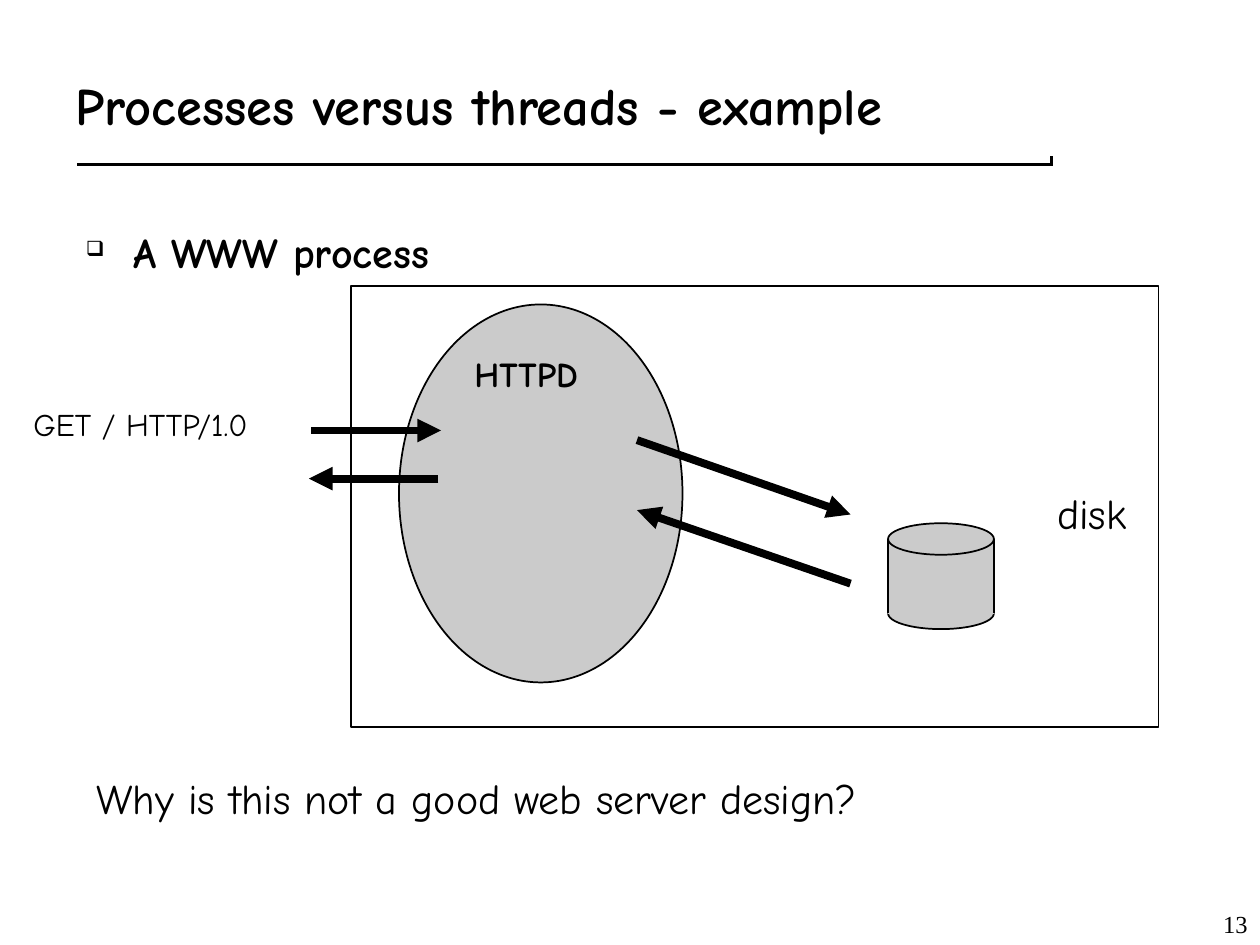
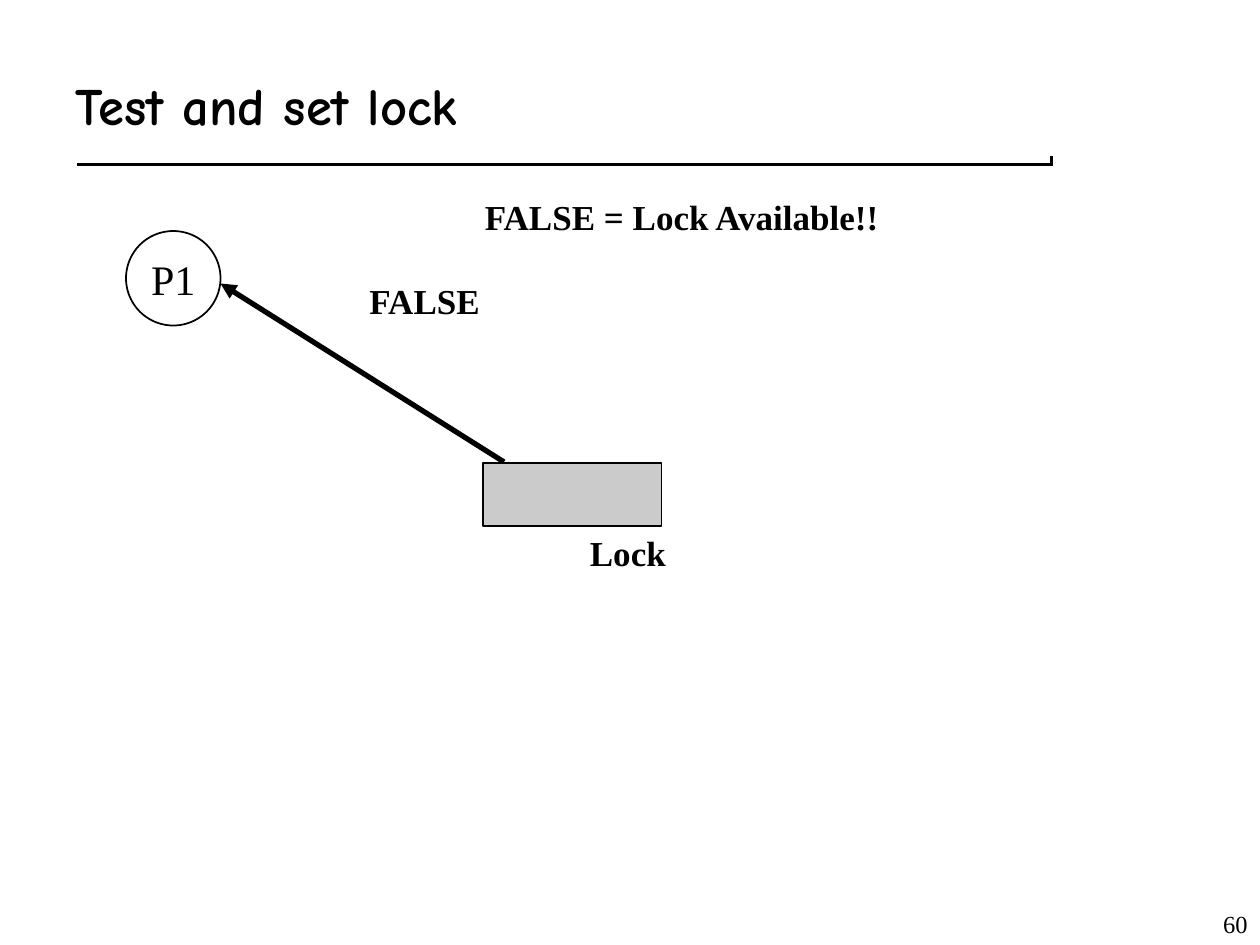
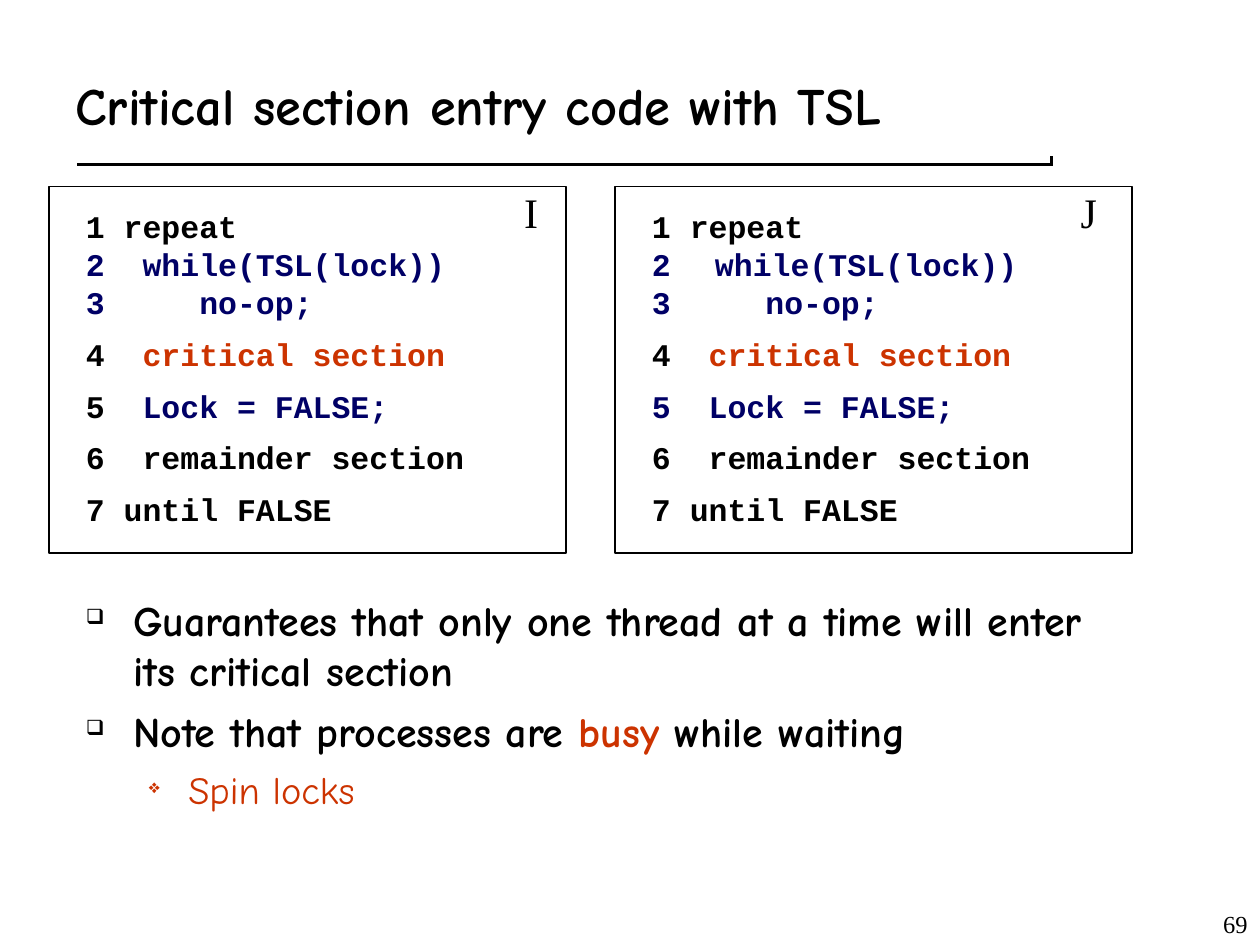
from dataclasses import dataclass, replace

from lxml import etree
from pptx import Presentation
from pptx.dml.color import RGBColor
from pptx.enum.shapes import MSO_CONNECTOR, MSO_SHAPE
from pptx.enum.text import MSO_ANCHOR, PP_ALIGN
from pptx.oxml.ns import qn
from pptx.util import Pt

OVAL, RECT = MSO_SHAPE.OVAL, MSO_SHAPE.RECTANGLE
STRAIGHT = MSO_CONNECTOR.STRAIGHT
TOP, MIDDLE, BOTTOM = MSO_ANCHOR.TOP, MSO_ANCHOR.MIDDLE, MSO_ANCHOR.BOTTOM
LEFT, CENTER, RIGHT = PP_ALIGN.LEFT, PP_ALIGN.CENTER, PP_ALIGN.RIGHT


@dataclass(frozen=True)
class Theme:
    ink: str = "000000"
    paper: str = "FFFFFF"
    gray: str = "CBCBCB"
    navy: str = "000066"
    red: str = "CC3300"
    hand: str = "Comic Neue"
    serif: str = "Times New Roman"
    mono: str = "Courier New"
    title: float = 30
    body: float = 24
    sub: float = 22
    label: float = 20
    small: float = 18
    page: float = 14
    thin: float = 1
    rule: float = 6


T = Theme()


@dataclass(frozen=True)
class Style:
    font: str
    size: float
    bold: bool = False


TITLE = Style(T.hand, T.title, True)
POINT = Style(T.hand, T.body, True)
PLAIN = Style(T.hand, T.body)
SUB = Style(T.hand, T.sub)
SERIF = Style(T.serif, T.body)
LABEL = Style(T.serif, T.label, True)
CODE = Style(T.mono, T.small, True)


@dataclass(frozen=True)
class Box:
    x: float
    y: float
    w: float
    h: float


@dataclass(frozen=True)
class Run:
    text: str
    color: str = T.ink


@dataclass(frozen=True)
class Mark:
    """A bullet sign, or a number when start is set."""
    sign: str = ""
    color: str = T.ink
    start: int = 0


@dataclass(frozen=True)
class Par:
    runs: tuple[Run, ...]
    style: Style
    before: float = 0
    left: float = 0
    hang: float = 0
    mark: Mark | None = None
    pitch: float = 0
    align: PP_ALIGN = LEFT


@dataclass(frozen=True)
class Line:
    x1: float
    y1: float
    x2: float
    y2: float
    width: float = T.thin
    color: str = T.ink
    arrow: bool = False


def rgb(color: str) -> RGBColor:
    return RGBColor.from_string(color)


def add_mark(props, mark: Mark) -> None:
    tint = etree.SubElement(props, qn("a:buClr"))
    etree.SubElement(tint, qn("a:srgbClr"), val=mark.color)
    if mark.start:
        etree.SubElement(props, qn("a:buAutoNum"), type="arabicPlain",
                         startAt=str(mark.start))
    else:
        etree.SubElement(props, qn("a:buSzPct"), val="50000")
        etree.SubElement(props, qn("a:buChar"), char=mark.sign)


def fill_text(frame, pars: list[Par], anchor=TOP) -> None:
    frame.word_wrap = True
    frame.vertical_anchor = anchor
    for i, par in enumerate(pars):
        p = frame.paragraphs[0] if i == 0 else frame.add_paragraph()
        p.alignment = par.align
        p.space_before = Pt(par.before if i else 0)
        if par.pitch:
            p.line_spacing = Pt(par.pitch)
        props = p._p.get_or_add_pPr()
        if par.left:
            props.set("marL", str(Pt(par.left)))
            props.set("indent", str(Pt(-par.hang)))
        if par.mark:
            add_mark(props, par.mark)
        for run in par.runs:
            r = p.add_run()
            r.text = run.text
            r.font.name = par.style.font
            r.font.size = Pt(par.style.size)
            r.font.bold = par.style.bold
            r.font.color.rgb = rgb(run.color)


def add_text(slide, box: Box, pars: list[Par], anchor=TOP) -> None:
    shape = slide.shapes.add_textbox(Pt(box.x), Pt(box.y), Pt(box.w), Pt(box.h))
    fill_text(shape.text_frame, pars, anchor)


def add_label(slide, box: Box, text: str, style: Style) -> None:
    add_text(slide, box, [Par((Run(text),), style)])


def add_form(shapes, kind, box: Box, fill: str = "", edge: str = T.ink):
    shape = shapes.add_shape(kind, Pt(box.x), Pt(box.y), Pt(box.w), Pt(box.h))
    shape.shadow.inherit = False
    if fill:
        shape.fill.solid()
        shape.fill.fore_color.rgb = rgb(fill)
    else:
        shape.fill.background()
    shape.line.color.rgb = rgb(edge)
    shape.line.width = Pt(T.thin)
    return shape


def add_line(shapes, line: Line) -> None:
    link = shapes.add_connector(STRAIGHT, Pt(line.x1), Pt(line.y1),
                                Pt(line.x2), Pt(line.y2))
    link.line.color.rgb = rgb(line.color)
    link.line.width = Pt(line.width)
    if line.arrow:
        etree.SubElement(link.line._get_or_add_ln(), qn("a:tailEnd"),
                         type="triangle")
    etree.SubElement(link._element.spPr, qn("a:effectLst"))


def add_slide(deck, title: str, page: int):
    """Start a slide with its title, notched rule and page number."""
    slide = deck.slides.add_slide(deck.slide_layouts[6])
    for x, y, color in ((44, 92, T.ink), (42, 90, T.paper)):
        add_line(slide.shapes, Line(x, y, x + 558, y, T.rule, color))
    add_text(slide, Box(36, 24, 618, 72), [Par((Run(title),), TITLE)], MIDDLE)
    number = Par((Run(str(page)),), Style(T.serif, T.page), align=RIGHT)
    add_text(slide, Box(570, 504, 150, 36), [number], BOTTOM)
    return slide


def point(*runs: Run) -> Par:
    return Par(runs, POINT, 6, 27, 27, Mark("❑"))


def add_disk(slide, box: Box, lid: float) -> None:
    shapes = slide.shapes.add_group_shape().shapes
    half = lid / 2
    base = box.y + box.h - half
    add_form(shapes, OVAL, Box(box.x, base - half, box.w, lid), T.gray)
    add_form(shapes, RECT, Box(box.x, box.y + half, box.w, box.h - lid),
             T.gray, T.gray)
    add_form(shapes, OVAL, Box(box.x, box.y, box.w, lid), T.gray)
    for x in (box.x, box.x + box.w):
        add_line(shapes, Line(x, base, x, box.y + half))


def web_slide(deck) -> None:
    slide = add_slide(deck, "Processes versus threads - example", 13)
    add_text(slide, Box(42, 126, 612, 354), [point(Run("A WWW process"))])
    add_form(slide.shapes, OVAL, Box(228, 174, 162, 216), T.gray)
    add_label(slide, Box(12, 228, 174, 29), "GET / HTTP/1.0",
              Style(T.hand, T.small))
    add_label(slide, Box(264, 198, 84, 32), "HTTPD",
              Style(T.hand, T.label, True))
    add_disk(slide, Box(507.5, 299, 60.5, 60.5), 18)
    for ends in ((178, 246, 252, 246), (364, 251.5, 486, 294),
                 (484 + 2, 333.5, 364, 291.5), (250.5, 273.5, 176.5, 273.5)):
        add_line(slide.shapes, Line(*ends, width=4.5, arrow=True))
    add_label(slide, Box(597, 275, 60, 36), "disk", PLAIN)
    add_label(slide, Box(48, 438, 619, 36),
              "Why is this not a good web server design?", PLAIN)
    add_form(slide.shapes, RECT, Box(200.5, 163.5, 461.5, 252))


def lock_slide(deck) -> None:
    slide = add_slide(deck, "Test and set lock", 60)
    node = add_form(slide.shapes, OVAL, Box(72, 132, 54, 54))
    frame = node.text_frame
    frame.margin_left = frame.margin_right = 0
    fill_text(frame, [Par((Run("P1"),), SERIF, align=CENTER)], MIDDLE)
    add_form(slide.shapes, RECT, Box(276, 264.5, 102, 36), T.gray)
    for x, y, w, text in ((330, 300, 72, "Lock"), (204, 156, 90, "FALSE"),
                          (270, 108, 260, "FALSE = Lock Available!!")):
        add_label(slide, Box(x, y, w, 32), text, LABEL)
    add_line(slide.shapes, Line(288, 264, 126, 162, 3, arrow=True))


def code_lines(second: Par, fifth: str) -> list[Par]:
    def row(*runs: Run, before: float = 8) -> Par:
        return Par(runs, CODE, before, 36, 36, pitch=21.6)

    return [
        row(Run("1 repeat")),
        second,
        row(Run("3     no-op;", T.navy), before=0),
        row(Run("4  "), Run("critical section", T.red)),
        row(Run("5  ", fifth), Run("Lock = FALSE;", T.navy)),
        row(Run("6  remainder section")),
        row(Run("7 until FALSE")),
    ]


def code_slide(deck) -> None:
    slide = add_slide(deck, "Critical section entry code with TSL", 69)
    typed = Par((Run("2  while(TSL(lock))", T.navy),), CODE, 0, 36, 36,
                pitch=21.6)
    listed = replace(typed, runs=(Run("while(TSL(lock))", T.navy),),
                     mark=Mark(color=T.navy, start=2))
    for x, name, name_x, second, fifth in (
            (28, "I", 292.5, typed, T.ink), (351.5, "J", 610.5, listed, T.navy)):
        add_text(slide, Box(x + 14, 115, 304, 192), code_lines(second, fifth))
        add_form(slide.shapes, RECT, Box(x, 106.5, 295.5, 209.5))
        add_label(slide, Box(name_x, 103, 58, 36), name, SERIF)
    add_text(slide, Box(42, 336, 612, 162), [
        point(Run("Guarantees that only one thread at a time will enter "
                  "its critical section")),
        point(Run("Note that processes are "), Run("busy", T.red),
              Run(" while waiting")),
        Par((Run("Spin locks", T.red),), SUB, 5.5, 58.5, 22.5,
            Mark("❖", T.red)),
    ])


def main() -> None:
    deck = Presentation()
    deck.slide_width, deck.slide_height = Pt(720), Pt(540)
    for build in (web_slide, lock_slide, code_slide):
        build(deck)
    deck.save("out.pptx")


if __name__ == "__main__":
    main()
